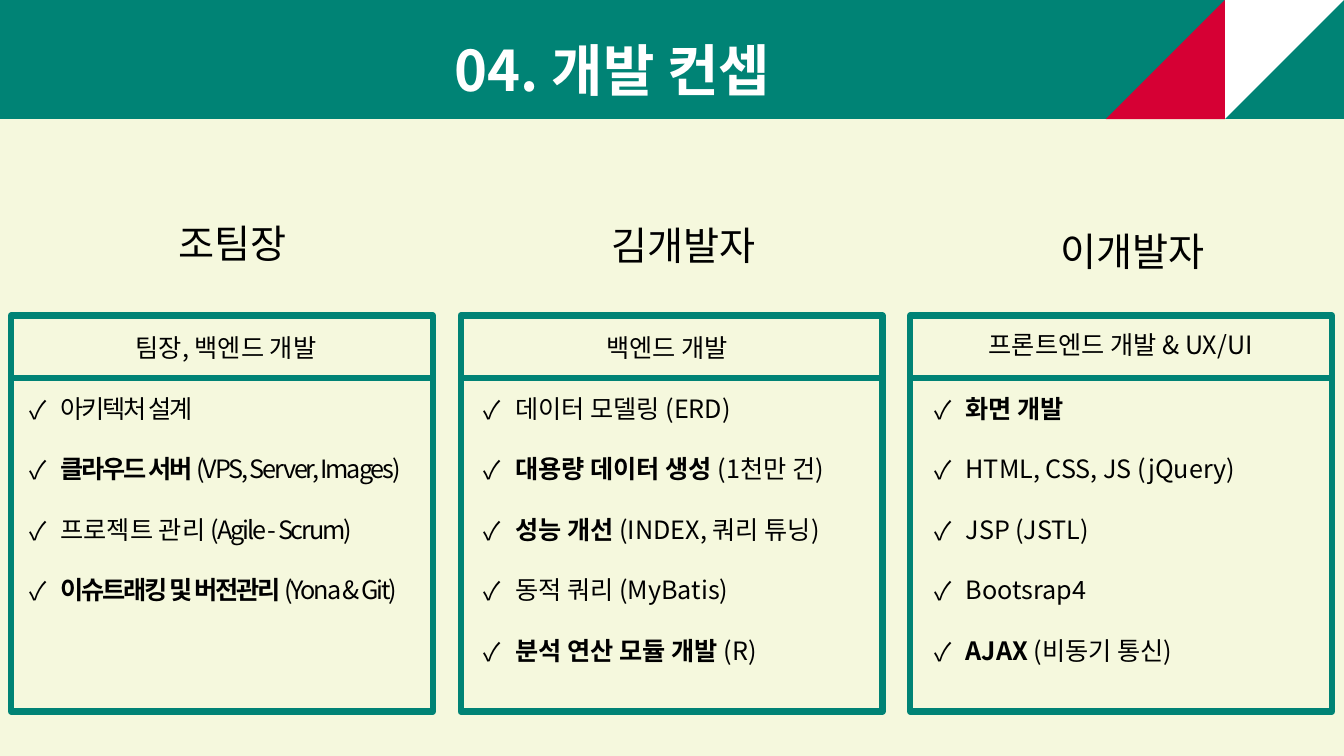
from dataclasses import dataclass

from lxml.etree import SubElement
from pptx import Presentation
from pptx.dml.color import RGBColor
from pptx.enum.shapes import MSO_CONNECTOR, MSO_SHAPE
from pptx.enum.text import MSO_ANCHOR, MSO_AUTO_SIZE, PP_ALIGN
from pptx.oxml.ns import qn
from pptx.util import Cm, Pt

TEAL = RGBColor(0x00, 0x83, 0x75)
CREAM = RGBColor(0xF5, 0xF8, 0xDD)
RED = RGBColor(0xD6, 0x00, 0x34)
WHITE = RGBColor(0xFF, 0xFF, 0xFF)
BLACK = RGBColor(0x00, 0x00, 0x00)
FONT = "Noto Sans CJK KR"

SLIDE_WIDTH, SLIDE_HEIGHT, BAND_HEIGHT = 33.87, 19.05, 3.0
CARD_LEFT, CARD_STEP, CARD_TOP = 0.28, 11.33, 7.95
CARD_WIDTH, CARD_HEIGHT, DIVIDER_TOP = 10.63, 9.98, 9.52
LIST_TOP = 9.78
TIGHT = -1.5


@dataclass(frozen=True)
class Box:
    left: float
    top: float
    width: float
    height: float

    def lengths(self) -> tuple:
        return Cm(self.left), Cm(self.top), Cm(self.width), Cm(self.height)


@dataclass(frozen=True)
class Part:
    text: str
    bold: bool = False
    spacing: float = 0


@dataclass(frozen=True)
class Member:
    name: str
    name_box: Box
    role: str
    role_box: Box
    tasks: list[list[Part]]
    tasks_box: Box


MEMBERS = [
    Member(
        "조팀장", Box(4.24, 5.41, 4.47, 1.45),
        "팀장, 백엔드 개발", Box(0.38, 8.26, 10.63, 1.2),
        [
            [Part("아키텍처 설계", spacing=TIGHT)],
            [Part("클라우드 서버 ", True, TIGHT), Part("(VPS, Server, Images)", spacing=TIGHT)],
            [Part("프로젝트 관리"), Part(" (Agile - Scrum)", spacing=TIGHT)],
            [Part("이슈트래킹 및 버전관리 ", True, TIGHT), Part("(Yona & Git)", spacing=TIGHT)],
        ],
        Box(0.48, LIST_TOP, 10.44, 6.4),
    ),
    Member(
        "김개발자", Box(15.16, 5.46, 4.47, 1.45),
        "백엔드 개발", Box(11.58, 8.26, 10.46, 1.2),
        [
            [Part("데이터 모델링 (ERD)")],
            [Part("대용량 데이터 생성 ", True), Part("(1천만 건)")],
            [Part("성능 개선 ", True), Part("(INDEX, 쿼리 튜닝)")],
            [Part("동적 쿼리 (MyBatis)")],
            [Part("분석 연산 모듈 개발 ", True), Part("(R)")],
        ],
        Box(11.94, LIST_TOP, 10.29, 7.95),
    ),
    Member(
        "이개발자", Box(26.47, 5.61, 4.47, 1.45),
        "프론트엔드 개발 & UX/UI", Box(23.09, 8.18, 10.31, 1.2),
        [
            [Part("화면 개발", True)],
            [Part("HTML, CSS, JS (jQuery)")],
            [Part("JSP (JSTL)")],
            [Part("Bootsrap4")],
            [Part("AJAX ", True), Part("(비동기 통신)")],
        ],
        Box(23.29, LIST_TOP, 10.11, 7.95),
    ),
]


def add_panel(slide, box: Box, *, kind=MSO_SHAPE.RECTANGLE, fill=None, line=None, rotation=0) -> None:
    panel = slide.shapes.add_shape(kind, *box.lengths())
    panel.shadow.inherit = False
    panel.rotation = rotation
    if fill is None:
        panel.fill.background()
    else:
        panel.fill.solid()
        panel.fill.fore_color.rgb = fill
    if line is None:
        panel.line.fill.background()
    else:
        panel.line.color.rgb = line
        panel.line.width = Pt(4.5)


def add_divider(slide, left: float) -> None:
    divider = slide.shapes.add_connector(
        MSO_CONNECTOR.STRAIGHT, Cm(left), Cm(DIVIDER_TOP), Cm(left + CARD_WIDTH), Cm(DIVIDER_TOP))
    divider.line.color.rgb = TEAL
    divider.line.width = Pt(4.5)
    SubElement(divider._element.spPr, qn("a:effectLst"))


def set_bullet(paragraph, mark: str | None) -> None:
    properties = paragraph._p.get_or_add_pPr()
    indent = Cm(0.79) if mark else 0
    properties.set("marL", str(indent))
    properties.set("indent", str(-indent))
    if mark:
        SubElement(properties, qn("a:buFont"), typeface=FONT)
        SubElement(properties, qn("a:buChar"), char=mark)
    else:
        SubElement(properties, qn("a:buNone"))


def write_text(holder, lines: list[list[Part]], *, size: float, color=BLACK,
               align=PP_ALIGN.LEFT, mark: str | None = None, gap: float = 0) -> None:
    frame = holder.text_frame
    frame.word_wrap = True
    frame.auto_size = MSO_AUTO_SIZE.NONE
    frame.vertical_anchor = MSO_ANCHOR.TOP
    for number, parts in enumerate(lines):
        paragraph = frame.add_paragraph() if number else frame.paragraphs[0]
        paragraph.alignment = align
        paragraph.line_spacing = 1.0
        paragraph.space_before = Pt(gap if number else 0)
        set_bullet(paragraph, mark)
        for part in parts:
            run = paragraph.add_run()
            run.text = part.text
            run.font.size = Pt(size)
            run.font.bold = part.bold
            run.font.color.rgb = color
            run.font.name = FONT
            properties = run._r.get_or_add_rPr()
            properties.set("spc", str(int(part.spacing * 100)))
            SubElement(properties, qn("a:ea"), typeface=FONT)


def place(slide, placeholder, box: Box):
    """Move a placeholder to its box and in front of what is drawn so far."""
    placeholder.left, placeholder.top, placeholder.width, placeholder.height = box.lengths()
    slide.shapes._spTree.append(placeholder._element)
    return placeholder


def add_header(slide, title) -> None:
    corner = SLIDE_WIDTH - BAND_HEIGHT
    add_panel(slide, Box(0, BAND_HEIGHT, SLIDE_WIDTH, SLIDE_HEIGHT - BAND_HEIGHT), fill=CREAM)
    add_panel(slide, Box(0, 0, SLIDE_WIDTH, BAND_HEIGHT), fill=TEAL)
    for left, color, rotation in ((corner, WHITE, 90), (corner - BAND_HEIGHT, RED, 270)):
        add_panel(slide, Box(left, 0, BAND_HEIGHT, BAND_HEIGHT),
                  kind=MSO_SHAPE.RIGHT_TRIANGLE, fill=color, rotation=rotation)
    place(slide, title, Box(0, 0.76, corner, 1.96))
    write_text(title, [[Part("04. 개발 컨셉", True)]], size=40, color=WHITE, align=PP_ALIGN.CENTER)


def add_member(slide, member: Member, left: float, tasks) -> None:
    add_panel(slide, Box(left, CARD_TOP, CARD_WIDTH, CARD_HEIGHT), line=TEAL)
    add_divider(slide, left)
    name = slide.shapes.add_textbox(*member.name_box.lengths())
    write_text(name, [[Part(member.name)]], size=28)
    role = slide.shapes.add_textbox(*member.role_box.lengths())
    write_text(role, [[Part(member.role)]], size=18, align=PP_ALIGN.CENTER)
    place(slide, tasks, member.tasks_box)
    write_text(tasks, member.tasks, size=18, mark="✓", gap=21.6)


def main() -> None:
    deck = Presentation()
    deck.slide_width, deck.slide_height = Cm(SLIDE_WIDTH), Cm(SLIDE_HEIGHT)
    slide = deck.slides.add_slide(deck.slide_layouts.get_by_name("Comparison"))
    title, *bodies = list(slide.placeholders)

    # Title band
    add_header(slide, title)

    # One card per team member
    for number, (member, tasks) in enumerate(zip(MEMBERS, bodies)):
        add_member(slide, member, CARD_LEFT + number * CARD_STEP, tasks)

    # Unused placeholders of the layout
    for spare in bodies[len(MEMBERS):]:
        slide.shapes._spTree.remove(spare._element)

    deck.save("out.pptx")


if __name__ == "__main__":
    main()
